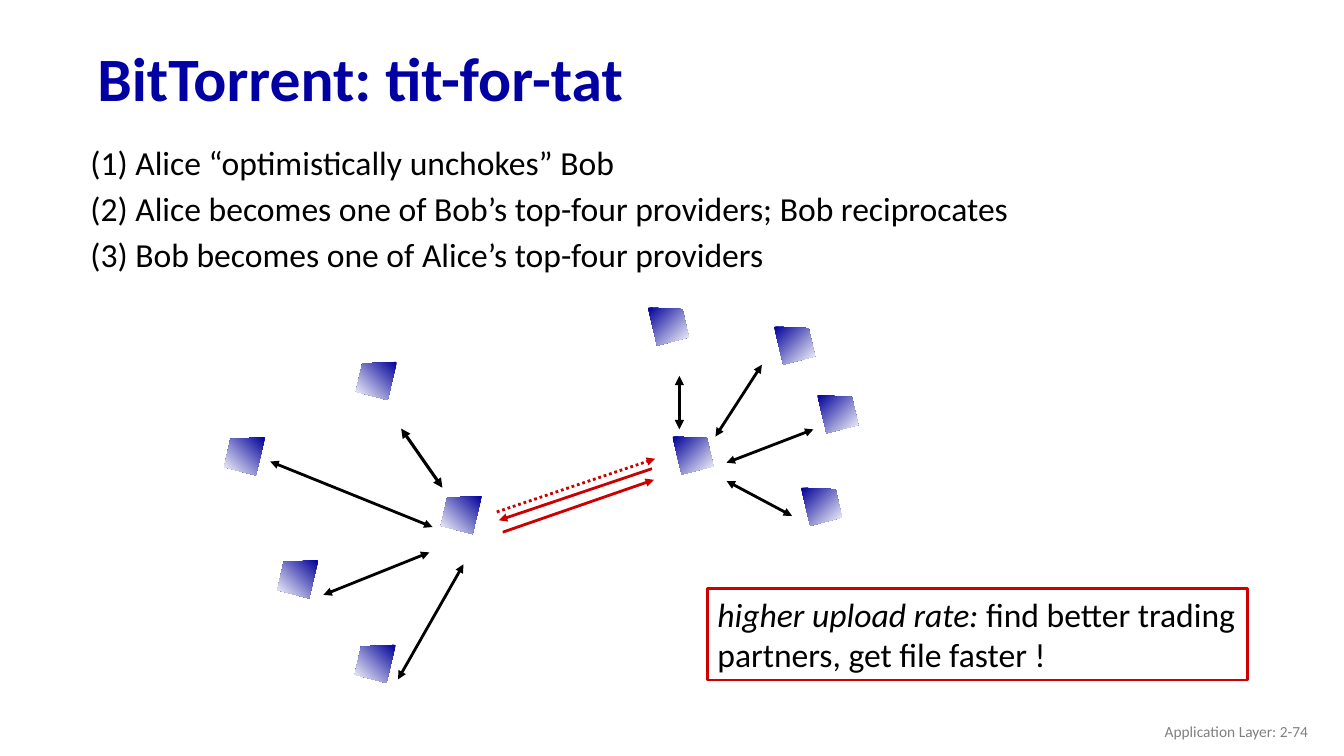
import pptx
import pptx.util
import pptx.dml.color
import pptx.enum.dml
import pptx.enum.shapes
import pptx.enum.text
import pptx.oxml
import pptx.oxml.ns

Cm = pptx.util.Cm
Pt = pptx.util.Pt
PP_ALIGN = pptx.enum.text.PP_ALIGN
MSO_ANCHOR = pptx.enum.text.MSO_ANCHOR
COLORS = {
    "title": "0000A3",
    "text": "000000",
    "trade": "CC0000",
    "peer": "000099",
    "fade": "FFFFFF",
    "footer": "808080",
}


def rgb(name):
    return pptx.dml.color.RGBColor.from_string(COLORS[name])


def style(paragraph, size, color):
    for run in paragraph.runs:
        run.font.name = "Calibri"
        run.font.size = Pt(size)
        run.font.color.rgb = rgb(color)


presentation = pptx.Presentation()
presentation.slide_width = Cm(33.87)
presentation.slide_height = Cm(19.05)
slide = presentation.slides.add_slide(presentation.slide_layouts[5])

title = slide.shapes.title
title.left, title.top, title.width, title.height = Cm(2.2), Cm(0.81), Cm(29.21), Cm(2.49)
title.text_frame.text = "BitTorrent: tit-for-tat"
title.text_frame.auto_size = pptx.enum.text.MSO_AUTO_SIZE.NONE
title.text_frame.vertical_anchor = MSO_ANCHOR.MIDDLE
heading = title.text_frame.paragraphs[0]
heading.alignment = PP_ALIGN.LEFT
heading.line_spacing = 0.9
style(heading, 44, "title")
heading.runs[0].font.bold = True

BOTH = ("headEnd", "tailEnd")
END = ("tailEnd",)
exchanges = [
    (10.9, 13.28, 6.81, 11.63, "text", 2, BOTH),
    (10.82, 13.92, 8.15, 14.99, "text", 2, BOTH),
    (11.68, 14.22, 10.03, 17.12, "text", 2, BOTH),
    (10.11, 10.8, 11.15, 12.29, "text", 2.25, BOTH),
    (18.03, 11, 19.2, 9.19, "text", 2, BOTH),
    (18.31, 11.66, 20.5, 10.82, "text", 2, BOTH),
    (18.31, 12.12, 19.96, 13, "text", 2, BOTH),
    (17.12, 9.47, 17.12, 10.82, "text", 2.25, BOTH),
    (12.52, 12.9, 16.51, 11.56, "trade", 2, END),
    (16.43, 11.81, 12.57, 13.11, "trade", 2, END),
    (12.67, 13.41, 16.48, 12.09, "trade", 2, END),
]
arrows = []
for x1, y1, x2, y2, color, width, heads in exchanges:
    arrow = slide.shapes.add_connector(
        pptx.enum.shapes.MSO_CONNECTOR.STRAIGHT, Cm(x1), Cm(y1), Cm(x2), Cm(y2)
    )
    arrow.line.color.rgb = rgb(color)
    arrow.line.width = Pt(width)
    arrows.append((arrow, heads))

optimistic_unchoke = arrows[8][0]
optimistic_unchoke.line.dash_style = pptx.enum.dml.MSO_LINE.ROUND_DOT

for arrow, heads in arrows:
    outline = arrow.line._get_or_add_ln()
    for head in heads:
        tip = pptx.oxml.parse_xml(f'<a:{head} {pptx.oxml.ns.nsdecls("a")} type="triangle"/>')
        outline.append(tip)
    no_shadow = pptx.oxml.parse_xml(f'<a:effectLst {pptx.oxml.ns.nsdecls("a")}/>')
    arrow._element.spPr.append(no_shadow)

steps = [
    "(1) Alice “optimistically unchokes” Bob",
    "(2) Alice becomes one of Bob’s top-four providers; Bob reciprocates",
    "(3) Bob becomes one of Alice’s top-four providers",
]
for index, wording in enumerate(steps):
    step = slide.shapes.add_textbox(Cm(2.28), Cm(3.58 + 1.16 * index), Cm(24), Cm(1.02))
    frame = step.text_frame
    frame.margin_left = frame.margin_top = frame.margin_right = frame.margin_bottom = 0
    frame.word_wrap = True
    frame.text = wording
    style(frame.paragraphs[0], 24, "text")

benefit = slide.shapes.add_shape(
    pptx.enum.shapes.MSO_SHAPE.RECTANGLE, Cm(17.83), Cm(14.83), Cm(13.61), Cm(2.31)
)
benefit.shadow.inherit = False
benefit.fill.background()
benefit.line.color.rgb = rgb("trade")
benefit.line.width = Pt(1.5)
benefit.text_frame.word_wrap = True
benefit.text_frame.vertical_anchor = MSO_ANCHOR.TOP
claim = benefit.text_frame.paragraphs[0]
claim.alignment = PP_ALIGN.LEFT
for wording, italic in (
    ("higher upload rate:", True),
    (" find better trading partners, get file faster !", False),
):
    run = claim.add_run()
    run.text = wording
    run.font.italic = italic
style(claim, 24, "text")

peer_corners = [(0.87, 0.04), (1.03, 0.75), (0.23, 0.96)]
alice_side = [(8.02, 14.12), (9.97, 16.25), (6.68, 11.02), (12.14, 12.5), (10, 9.12)]
bob_side = [(20.19, 12.29), (20.6, 9.96), (19.51, 8.23), (16.95, 11), (16.33, 7.75)]
for peers, direction, angle in ((alice_side, -1, 225), (bob_side, 1, 315)):
    for x, y in peers:
        builder = slide.shapes.build_freeform(Cm(x), Cm(y))
        builder.add_line_segments(
            [(Cm(x + direction * dx), Cm(y + dy)) for dx, dy in peer_corners], close=True
        )
        peer = builder.convert_to_shape()
        peer.shadow.inherit = False
        peer.line.fill.background()
        peer.fill.gradient()
        peer.fill.gradient_angle = angle
        for stop, position, color in zip(peer.fill.gradient_stops, (0, 1), ("peer", "fade")):
            stop.position = position
            stop.color.rgb = rgb(color)

footer = slide.shapes.add_textbox(Cm(25.6), Cm(17.91), Cm(7.62), Cm(1.02))
footer.text_frame.word_wrap = True
footer.text_frame.vertical_anchor = MSO_ANCHOR.MIDDLE
footer.text_frame.text = "Application Layer: 2-74"
footer.text_frame.paragraphs[0].alignment = PP_ALIGN.RIGHT
style(footer.text_frame.paragraphs[0], 11, "footer")

presentation.save("out.pptx")
